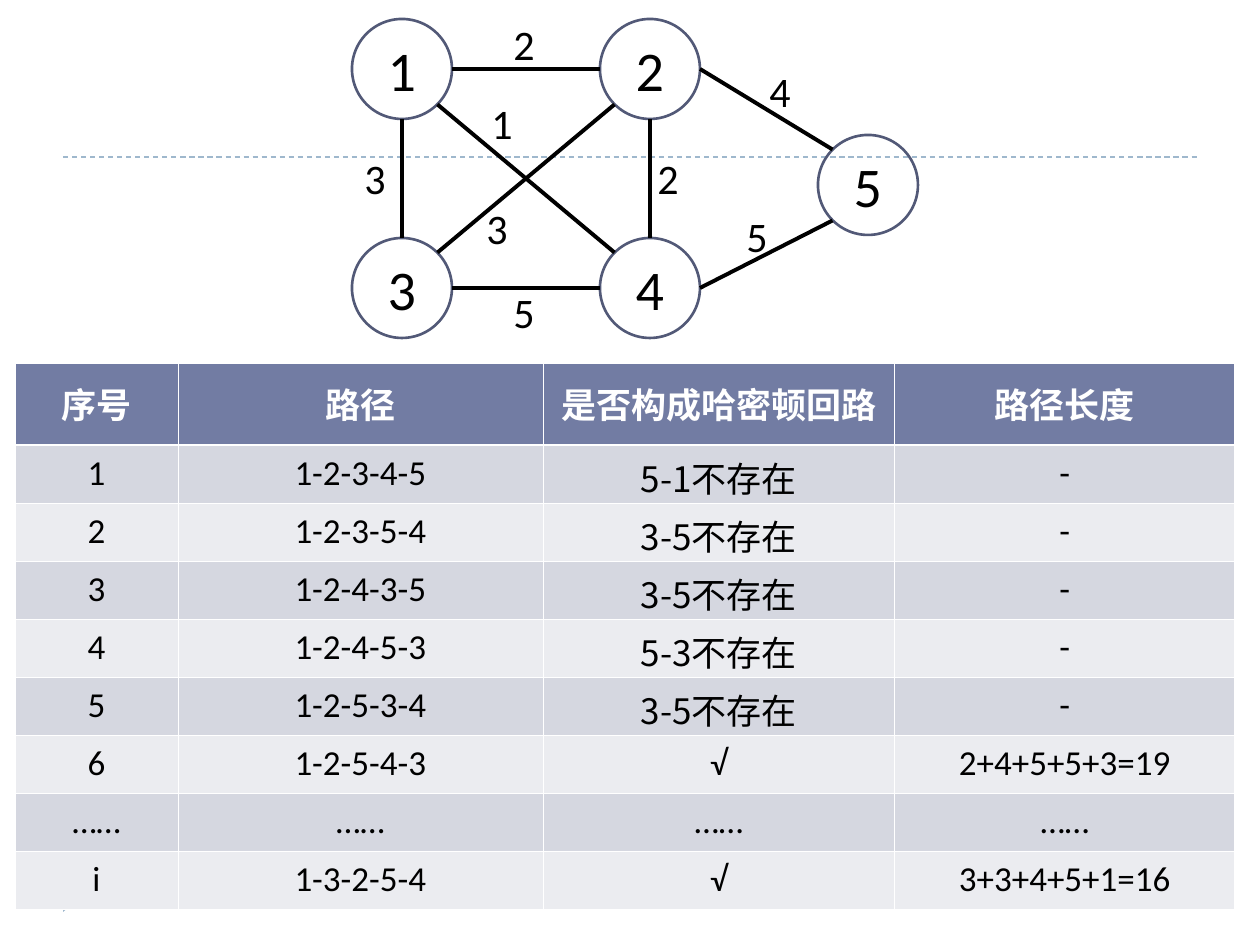
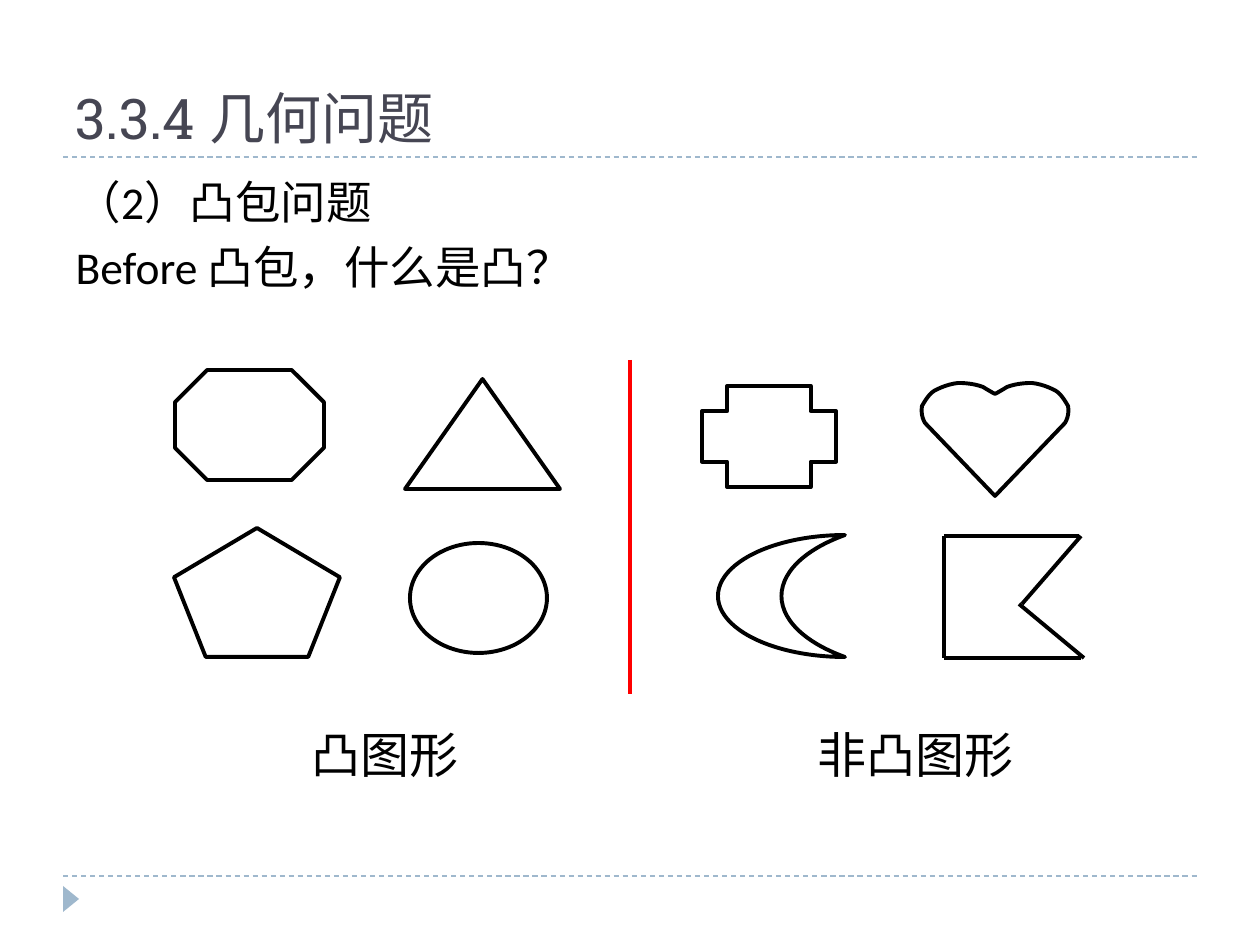
import lxml.etree
import pptx
import pptx.dml.color
import pptx.enum.dml
import pptx.enum.shapes
import pptx.enum.text
import pptx.oxml.ns
import pptx.util

RGB = pptx.dml.color.RGBColor
SHAPE = pptx.enum.shapes.MSO_SHAPE
ALIGN = pptx.enum.text.PP_ALIGN
ANCHOR = pptx.enum.text.MSO_ANCHOR
AUTO_SIZE = pptx.enum.text.MSO_AUTO_SIZE

BLACK = RGB(0x00, 0x00, 0x00)
WHITE = RGB(0xFF, 0xFF, 0xFF)
RED = RGB(0xFF, 0x00, 0x00)
RULE_BLUE = RGB(0x9F, 0xB8, 0xCD)
NODE_LINE = RGB(0x52, 0x59, 0x77)
TITLE_COLOR = RGB(0x46, 0x46, 0x53)
HEADER_FILL = RGB(0x72, 0x7C, 0xA3)
ROW_FILLS = (RGB(0xEB, 0xEC, 0xF0), RGB(0xD5, 0xD7, 0xE0))

BODY_FONT = "Calibri"
TITLE_FONT = "Roboto Slab"
CHINESE_FONT = "Noto Sans CJK SC"
CAPTION_FONT = "Noto Sans CJK JP"

NODE_SIZE = 100
NODES = {"1": (0, 0), "2": (248, 0), "3": (0, 219), "4": (248, 219), "5": (466, 116)}
COMPASS = {"N": (0, -1), "S": (0, 1), "E": (1, 0), "W": (-1, 0),
           "NE": (0.71, -0.71), "NW": (-0.71, -0.71),
           "SE": (0.71, 0.71), "SW": (-0.71, 0.71)}
EDGES = [("1", "E", "2", "W"), ("1", "S", "3", "N"), ("3", "E", "4", "W"),
         ("1", "SE", "4", "NW"), ("2", "SW", "3", "NE"), ("2", "E", "5", "NW"),
         ("4", "E", "5", "SW"), ("2", "S", "4", "N")]
WEIGHTS = [("2", 149, -7), ("3", 0, 127), ("1", 127, 72), ("5", 149, 261),
           ("3", 122, 177), ("2", 293, 127), ("4", 405, 40), ("5", 382, 185)]

COLUMN_WIDTHS = (163, 365, 352, 340)
HEADER_HEIGHT, ROW_HEIGHT = 82, 58
ROUTES = [
    ("序号", "路径", "是否构成哈密顿回路", "路径长度"),
    ("1", "1-2-3-4-5", "5-1不存在", "-"),
    ("2", "1-2-3-5-4", "3-5不存在", "-"),
    ("3", "1-2-4-3-5", "3-5不存在", "-"),
    ("4", "1-2-4-5-3", "5-3不存在", "-"),
    ("5", "1-2-5-3-4", "3-5不存在", "-"),
    ("6", "1-2-5-4-3", "√", "2+4+5+5+3=19"),
    ("……", "……", "……", "……"),
    ("i", "1-3-2-5-4", "√", "3+3+4+5+1=16"),
]

CONVEX_SHAPES = [(SHAPE.OCTAGON, 1, 0, 149, 110), (SHAPE.ISOSCELES_TRIANGLE, 231, 9, 155, 110),
                 (SHAPE.REGULAR_PENTAGON, 0, 158, 166, 129), (SHAPE.OVAL, 236, 173, 137, 110)]
CONCAVE_SHAPES = [(SHAPE.CROSS, 0, 0, 134, 101), (SHAPE.MOON, 16, 149, 127, 122)]
HEART_WIDTH = 148
HEART_START = (74, 11)
HEART_TIP = (74, 113)
HEART_CURVES = [((72, 10), (65, 6), (62, 4)), ((54, 1), (45, 0), (37, 0)),
                ((29, 1), (20, 4), (13, 8)), ((8, 11), (4, 18), (1, 23)),
                ((0, 29), (1, 35), (4, 40))]
FLAG_LINES = [(0, 0, 135, 0), (137, 0, 78, 68), (75, 68, 140, 122),
              (137, 122, 0, 122), (0, 0, 0, 122)]


def px(length):
    """Turn pixels at 126 to the inch into EMU."""
    return pptx.util.Emu(round(length * 914400 / 126))


def style_text(para, size, color, font=BODY_FONT, bold=False):
    """Format every run of a paragraph for Latin and East Asian text."""
    for span in para.runs:
        span.font.size = pptx.util.Pt(size)
        span.font.bold = bold
        span.font.color.rgb = color
        span.font.name = font
        east_asian = lxml.etree.SubElement(
            span._r.get_or_add_rPr(), pptx.oxml.ns.qn("a:ea"))
        east_asian.set("typeface", font)


def outline(shape, color=BLACK, width=2.25):
    """Leave a shape unfilled, with a plain line and no shadow."""
    shape.shadow.inherit = False
    shape.fill.background()
    shape.line.color.rgb = color
    shape.line.width = pptx.util.Pt(width)


def add_line(page, start_x, start_y, end_x, end_y, color=BLACK, width=2.25):
    """Draw a straight line without a shadow."""
    line = page.shapes.add_connector(
        pptx.enum.shapes.MSO_CONNECTOR.STRAIGHT, px(start_x), px(start_y), px(end_x), px(end_y))
    line.line.color.rgb = color
    line.line.width = pptx.util.Pt(width)
    lxml.etree.SubElement(line._element.spPr, pptx.oxml.ns.qn("a:effectLst"))
    return line


def add_label(page, text, box, size, font=BODY_FONT):
    """Add one line of text that does not wrap."""
    label = page.shapes.add_textbox(*map(px, box))
    frame = label.text_frame
    frame.text = text
    frame.word_wrap = False
    frame.auto_size = AUTO_SIZE.SHAPE_TO_FIT_TEXT
    style_text(frame.paragraphs[0], size, BLACK, font)


def add_page(deck, layout_index):
    """Add a slide with the shared dashed rules and corner marker."""
    page = deck.slides.add_slide(deck.slide_layouts[layout_index])
    for rule_top in (876, 157):
        rule = add_line(page, 63, rule_top, 1197, rule_top, RULE_BLUE, 0.75)
        rule.line.dash_style = pptx.enum.dml.MSO_LINE.DASH
    marker = page.shapes.add_shape(
        SHAPE.ISOSCELES_TRIANGLE, px(58), px(891), px(26), px(16))
    marker.rotation = 90
    marker.shadow.inherit = False
    marker.fill.solid()
    marker.fill.fore_color.rgb = RULE_BLUE
    marker.line.fill.background()
    return page


def border_cell(cell, bold_sides):
    """Give a cell white borders, heavier on the named sides."""
    properties = cell._tc.get_or_add_tcPr()
    for index, side in enumerate("LRTB"):
        border = lxml.etree.Element(pptx.oxml.ns.qn("a:ln" + side))
        border.set("w", str(pptx.util.Pt(1.47 if side in bold_sides else 0.45)))
        fill = lxml.etree.SubElement(border, pptx.oxml.ns.qn("a:solidFill"))
        lxml.etree.SubElement(fill, pptx.oxml.ns.qn("a:srgbClr")).set("val", str(WHITE))
        properties.insert(index, border)


def add_route_table(page, left, top):
    """List the candidate routes with their lengths."""
    height = HEADER_HEIGHT + ROW_HEIGHT * (len(ROUTES) - 1)
    table = page.shapes.add_table(
        len(ROUTES), len(COLUMN_WIDTHS), px(left), px(top),
        px(sum(COLUMN_WIDTHS)), px(height)).table
    for column, width in zip(table.columns, COLUMN_WIDTHS):
        column.width = px(width)
    for row_index, route in enumerate(ROUTES):
        is_header = row_index == 0
        table.rows[row_index].height = px(HEADER_HEIGHT if is_header else ROW_HEIGHT)
        for column_index, text in enumerate(route):
            is_missing_edge = text.endswith("不存在")
            cell = table.cell(row_index, column_index)
            cell.text_frame.text = text
            cell.vertical_anchor = ANCHOR.MIDDLE
            cell.margin_top = px(6 if is_header or is_missing_edge else 3)
            cell.margin_bottom = px(0 if is_header or is_missing_edge else 3)
            cell.fill.solid()
            cell.fill.fore_color.rgb = HEADER_FILL if is_header else ROW_FILLS[row_index % 2]
            para = cell.text_frame.paragraphs[0]
            para.alignment = ALIGN.CENTER
            font = CHINESE_FONT if is_missing_edge else BODY_FONT
            style_text(para, 20, WHITE if is_header else BLACK, font, is_header)
            border_cell(cell, {0: "B", 1: "T"}.get(row_index, ""))


def rim_point(node, direction):
    """Find the point on a node's rim in a compass direction."""
    return [corner + NODE_SIZE / 2 * (1 + step)
            for corner, step in zip(NODES[node], COMPASS[direction])]


def add_weighted_graph(page, left, top):
    """Draw the five nodes, their edges and the edge weights."""
    for name, (node_x, node_y) in NODES.items():
        node = page.shapes.add_shape(
            SHAPE.OVAL, px(left + node_x), px(top + node_y), px(NODE_SIZE), px(NODE_SIZE))
        outline(node, NODE_LINE, 1.5)
        node.text_frame.text = name
        node.text_frame.vertical_anchor = ANCHOR.MIDDLE
        para = node.text_frame.paragraphs[0]
        para.alignment = ALIGN.CENTER
        style_text(para, 32, BLACK)
    for start, start_side, end, end_side in EDGES:
        start_x, start_y = rim_point(start, start_side)
        end_x, end_y = rim_point(end, end_side)
        add_line(page, left + start_x, top + start_y, left + end_x, top + end_y)
    for weight, label_x, label_y in WEIGHTS:
        add_label(page, weight, (left + label_x, top + label_y, 47, 63), 24)


def place_placeholder(holder, box, anchor, lines, size, color, font):
    """Move a placeholder and fill it with unbulleted lines."""
    holder.left, holder.top, holder.width, holder.height = map(px, box)
    frame = holder.text_frame
    frame.text = "\n".join(lines)
    frame.word_wrap = True
    frame.auto_size = AUTO_SIZE.NONE
    frame.vertical_anchor = anchor
    for index, para in enumerate(frame.paragraphs):
        properties = para._p.get_or_add_pPr()
        properties.set("marL", "0")
        properties.set("indent", "0")
        lxml.etree.SubElement(properties, pptx.oxml.ns.qn("a:buNone"))
        para.alignment = ALIGN.LEFT
        para.space_before = pptx.util.Pt(6 if index else 0)
        style_text(para, size, color, font)


def add_outlines(page, left, top, outlines):
    """Draw preset shapes as plain outlines."""
    for kind, shape_x, shape_y, width, height in outlines:
        outline(page.shapes.add_shape(
            kind, px(left + shape_x), px(top + shape_y), px(width), px(height)))


def curve_points(start, curves, steps=6):
    """Sample a chain of cubic curves."""
    points = [start]
    for first, second, end in curves:
        for step in range(1, steps + 1):
            t = step / steps
            points.append(tuple(
                (1 - t) ** 3 * a + 3 * t * (1 - t) ** 2 * b + 3 * t * t * (1 - t) * c + t ** 3 * d
                for a, b, c, d in zip(start, first, second, end)))
        start = end
    return points


def add_heart(page, left, top):
    """Draw a heart from one sampled half and its mirror."""
    half = curve_points(HEART_START, HEART_CURVES)
    mirrored = [(HEART_WIDTH - x, y) for x, y in reversed(half[1:])]
    points = [(px(left + x), px(top + y)) for x, y in half + [HEART_TIP] + mirrored]
    builder = page.shapes.build_freeform(*points[0])
    builder.add_line_segments(points[1:], close=True)
    outline(builder.convert_to_shape())


def add_convex_group(page, left, top):
    """Draw the convex figures and their caption."""
    add_outlines(page, left, top, CONVEX_SHAPES)
    add_label(page, "凸图形", (left + 125, top + 348, 180, 72), 28, CAPTION_FONT)


def add_concave_group(page, left, top):
    """Draw the figures that are not convex and their caption."""
    add_outlines(page, left, top, CONCAVE_SHAPES)
    add_heart(page, left + 219, top - 3)
    flag_left, flag_top = left + 242, top + 150
    for start_x, start_y, end_x, end_y in FLAG_LINES:
        add_line(page, flag_left + start_x, flag_top + start_y,
                 flag_left + end_x, flag_top + end_y)
    add_label(page, "非凸图形", (left + 103, top + 332, 230, 72), 28, CAPTION_FONT)


def build_route_page(deck):
    """Build the slide that enumerates routes on a weighted graph."""
    page = add_page(deck, 6)
    add_route_table(page, 15, 363)
    add_weighted_graph(page, 352, 19)


def build_convex_page(deck):
    """Build the slide that contrasts convex and other figures."""
    page = add_page(deck, 1)
    place_placeholder(page.shapes.title, (63, 21, 1134, 136), ANCHOR.BOTTOM,
                      ["3.3.4 几何问题"], 32, TITLE_COLOR, TITLE_FONT)
    place_placeholder(page.placeholders[1], (63, 168, 1134, 680), ANCHOR.TOP,
                      ["（2）凸包问题", "Before 凸包，什么是凸？"], 26, BLACK, BODY_FONT)
    add_line(page, 630, 360, 630, 694, RED)
    add_convex_group(page, 174, 370)
    add_concave_group(page, 702, 386)


def main():
    """Build and save the deck."""
    deck = pptx.Presentation()
    deck.slide_width, deck.slide_height = px(1260), px(945)
    build_route_page(deck)
    build_convex_page(deck)
    deck.save("out.pptx")


if __name__ == "__main__":
    main()
